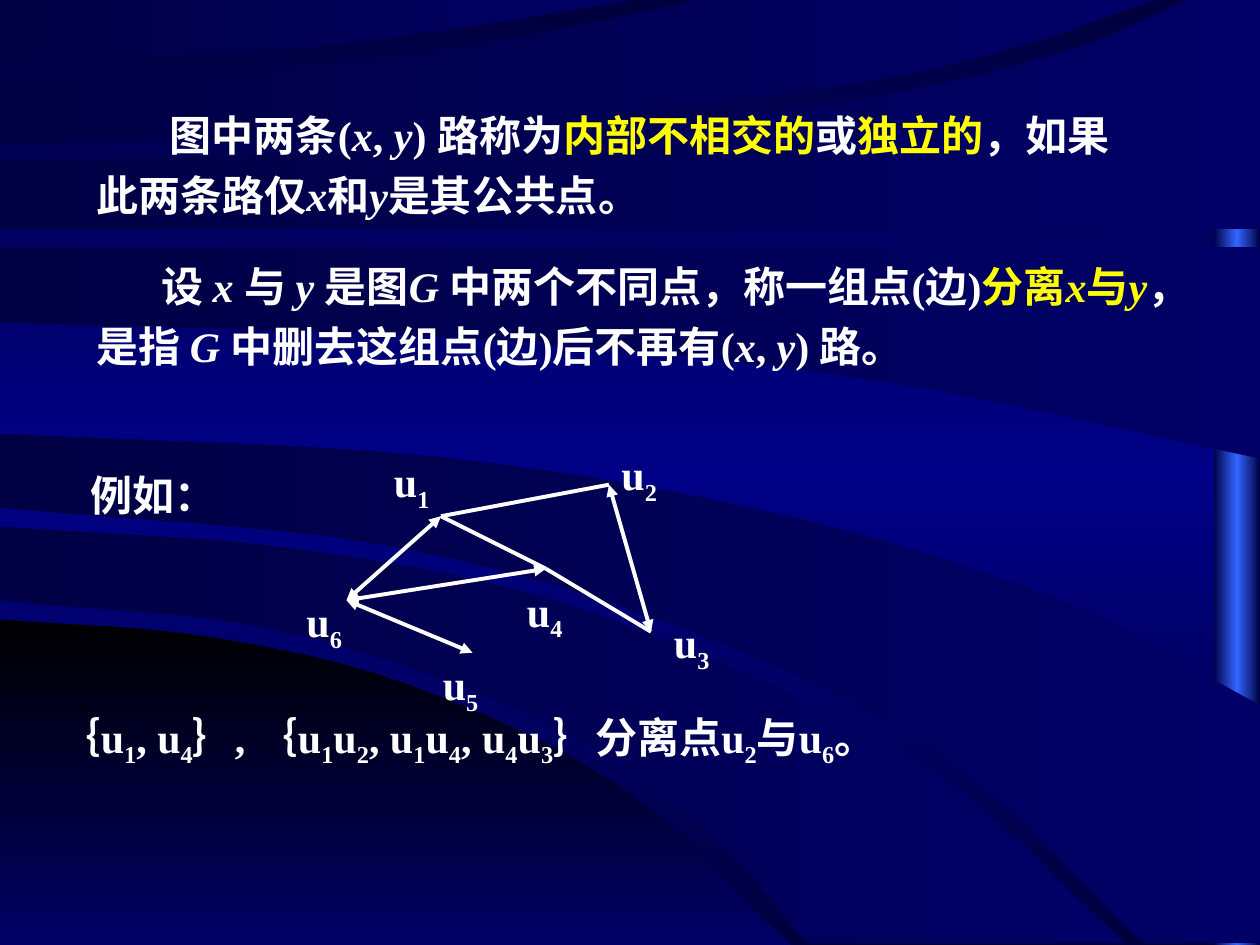
from itertools import chain

from pptx import Presentation
from pptx.dml.color import RGBColor
from pptx.enum.shapes import MSO_CONNECTOR, MSO_SHAPE
from pptx.enum.text import MSO_AUTO_SIZE
from pptx.oxml.ns import qn
from pptx.util import Pt
from lxml.etree import SubElement

COLORS = {
    "white": "FFFFFF",
    "yellow": "FFFF00",
    "black": "000000",
    "midnight": "00003E",
    "royal": "000086",
    "navy": "000066",
    "deep": "000044",
    "bright": "3366FF",
}
FONT = "Times New Roman"
WIDTH, HEIGHT = 720, 540
CURVE_STEPS = 6

DARK_CORNER = [
    [(0, 354), (119, 364), (235, 392), (356, 451), (452, HEIGHT)],
    [(0, HEIGHT)],
]
SWEEPS = [
    [[(0, 301), (179, 315), (340, 351), (523, 434), (643, 539)],
     [(462, 539), (398, 469), (300, 407), (159, 360), (0, 343)]],
    [[(0, 248), (247, 261), (446, 294), (608, 344), (WIDTH, 403)],
     [(WIDTH, 539)],
     [(654, 539), (544, 436), (404, 364), (224, 312), (0, 290)]],
    [[(0, 141), (WIDTH, 141)],
     [(WIDTH, 262), (505, 218), (280, 194), (0, 184)]],
    [[(0, 92), (237, 85), (464, 61), (601, 32), (679, 0)],
     [(WIDTH, 0)],
     [(WIDTH, 131), (0, 131)]],
    [[(0, 44), (142, 40), (276, 25), (400, 0)],
     [(660, 0), (577, 28), (467, 51), (246, 74), (0, 82)]],
    [[(0, 34), (145, 29), (249, 18), (361, 0)],
     [(0, 0)]],
]

INDEPENDENT_PATHS = [
    ("图中两条(", ""), ("x", "i"), (", ", ""), ("y", "i"), (") 路称为", ""),
    ("内部不相交的", "y"), ("或", ""), ("独立的", "y"), ("，如果此两条路仅", ""),
    ("x", "i"), ("和", ""), ("y", "i"), ("是其公共点。", ""),
]
SEPARATION = [
    ("设 ", ""), ("x ", "i"), ("与 ", ""), ("y ", "i"), ("是图", ""), ("G ", "i"),
    ("中两个不同点，称一组点(边)", ""), ("分离", "y"), ("x", "yi"), ("与", "y"), ("y", "yi"),
    ("，是指 ", ""), ("G ", "i"), ("中删去这组点(边)后不再有(", ""), ("x", "i"), (", ", ""),
    ("y", "i"), (") 路。", ""),
]
CONCLUSION = "｛u_1, u_4｝, ｛u_1u_2, u_1u_4, u_4u_3｝分离点u_2与u_6。"

VERTICES = {
    "1": (252, 295), "2": (348, 277), "3": (372, 361),
    "4": (312, 325), "5": (270, 373), "6": (198, 343),
}
LABELS = {
    "1": (218, 257), "2": (348, 253), "3": (378, 349),
    "4": (294, 331), "5": (246, 373), "6": (168, 337),
}
PLAIN_EDGES = ["14", "12", "43"]
ARROW_EDGES = ["16", "64", "23", "65"]


def color(name):
    return RGBColor.from_string(COLORS[name])


def smooth(knots):
    if len(knots) < 3:
        return knots
    before = tuple(2 * a - b for a, b in zip(knots[0], knots[1]))
    after = tuple(2 * a - b for a, b in zip(knots[-1], knots[-2]))
    padded = [before, *knots, after]
    points = []
    for window in zip(padded, padded[1:], padded[2:], padded[3:]):
        for step in range(CURVE_STEPS):
            t = step / CURVE_STEPS
            points.append(tuple(
                b + t * (c - a + t * (2 * a - 5 * b + 4 * c - d + t * (3 * (b - c) + d - a))) / 2
                for a, b, c, d in zip(*window)))
    return points + [knots[-1]]


def paint_gradient(fill, element, names, angle):
    fill.gradient()
    fill.gradient_angle = 360 - angle
    stops = element.find(".//" + qn("a:gsLst"))
    for stop in list(stops):
        stops.remove(stop)
    for index, name in enumerate(names):
        position = 100000 * index // (len(names) - 1)
        stop = SubElement(stops, qn("a:gs"), pos=str(position))
        SubElement(stop, qn("a:srgbClr"), val=COLORS[name])


def finish_shape(shape, names, angle):
    shape.shadow.inherit = False
    shape.line.fill.background()
    paint_gradient(shape.fill, shape._element.spPr, names, angle)


def add_bar(slide, left, width):
    shape = slide.shapes.add_shape(MSO_SHAPE.RECTANGLE, Pt(left), 0, Pt(width), Pt(HEIGHT))
    finish_shape(shape, ["deep", "bright", "deep"], 180)


def add_sweep(slide, arcs, names, angle):
    points = chain.from_iterable(smooth(arc) for arc in arcs)
    vertices = [(Pt(x), Pt(y)) for x, y in points]
    builder = slide.shapes.build_freeform(*vertices[0])
    builder.add_line_segments(vertices[1:], close=True)
    finish_shape(builder.convert_to_shape(), names, angle)


def add_text(slide, left, top, width, height, runs, indent=0, line_spacing=None):
    box = slide.shapes.add_textbox(Pt(left), Pt(top), Pt(width), Pt(height))
    frame = box.text_frame
    frame.word_wrap = True
    frame.auto_size = MSO_AUTO_SIZE.SHAPE_TO_FIT_TEXT
    paragraph = frame.paragraphs[0]
    paragraph.line_spacing = line_spacing
    font = paragraph.font
    font.name, font.size, font.bold = FONT, Pt(24), True
    font.color.rgb = color("white")
    paragraph._p.get_or_add_pPr().set("indent", str(Pt(indent)))
    for text, style in runs:
        run = paragraph.add_run()
        run.text = text
        if "i" in style:
            run.font.italic = True
        if "y" in style:
            run.font.color.rgb = color("yellow")
        if "s" in style:
            run._r.get_or_add_rPr().set("baseline", "-25000")


def subscripted(text):
    first, *rest = text.split("_")
    pairs = (((part[0], "s"), (part[1:], "")) for part in rest)
    return [run for run in [(first, ""), *chain.from_iterable(pairs)] if run[0]]


def add_edge(slide, start, end, arrows):
    points = [Pt(value) for value in (*start, *end)]
    connector = slide.shapes.add_connector(MSO_CONNECTOR.STRAIGHT, *points)
    connector.line.color.rgb = color("white")
    connector.line.width = Pt(2.25)
    if arrows:
        for tag in ("a:headEnd", "a:tailEnd"):
            SubElement(connector.line._get_or_add_ln(), qn(tag), type="triangle")
    SubElement(connector._element.spPr, qn("a:effectLst"))


def main():
    presentation = Presentation()
    presentation.slide_width, presentation.slide_height = Pt(WIDTH), Pt(HEIGHT)
    slide = presentation.slides.add_slide(presentation.slide_layouts[6])
    paint_gradient(slide.background.fill, slide._element, ["midnight", "royal", "midnight"], 90)
    add_bar(slide, 693.5, 26.5)
    add_sweep(slide, DARK_CORNER, ["black", "navy"], 90)
    for arcs in SWEEPS:
        add_sweep(slide, arcs, ["navy", "deep"], 180)
    add_text(slide, 48, 53, 608.5, 76.5, INDEPENDENT_PATHS, 42, 1.2)
    add_text(slide, 48, 139.5, 646.5, 76.5, SEPARATION, 37, 1.2)
    add_text(slide, 18, 265, 606, 36, subscripted("例如："), 26.5)
    for start, end in PLAIN_EDGES + ARROW_EDGES:
        add_edge(slide, VERTICES[start], VERTICES[end], start + end in ARROW_EDGES)
    for number, (left, top) in LABELS.items():
        add_text(slide, left, top, 37.5, 40, subscripted(f"u_{number}"))
    add_text(slide, 0, 403, 606, 40, subscripted(CONCLUSION), 26.5)
    presentation.save("out.pptx")


if __name__ == "__main__":
    main()
